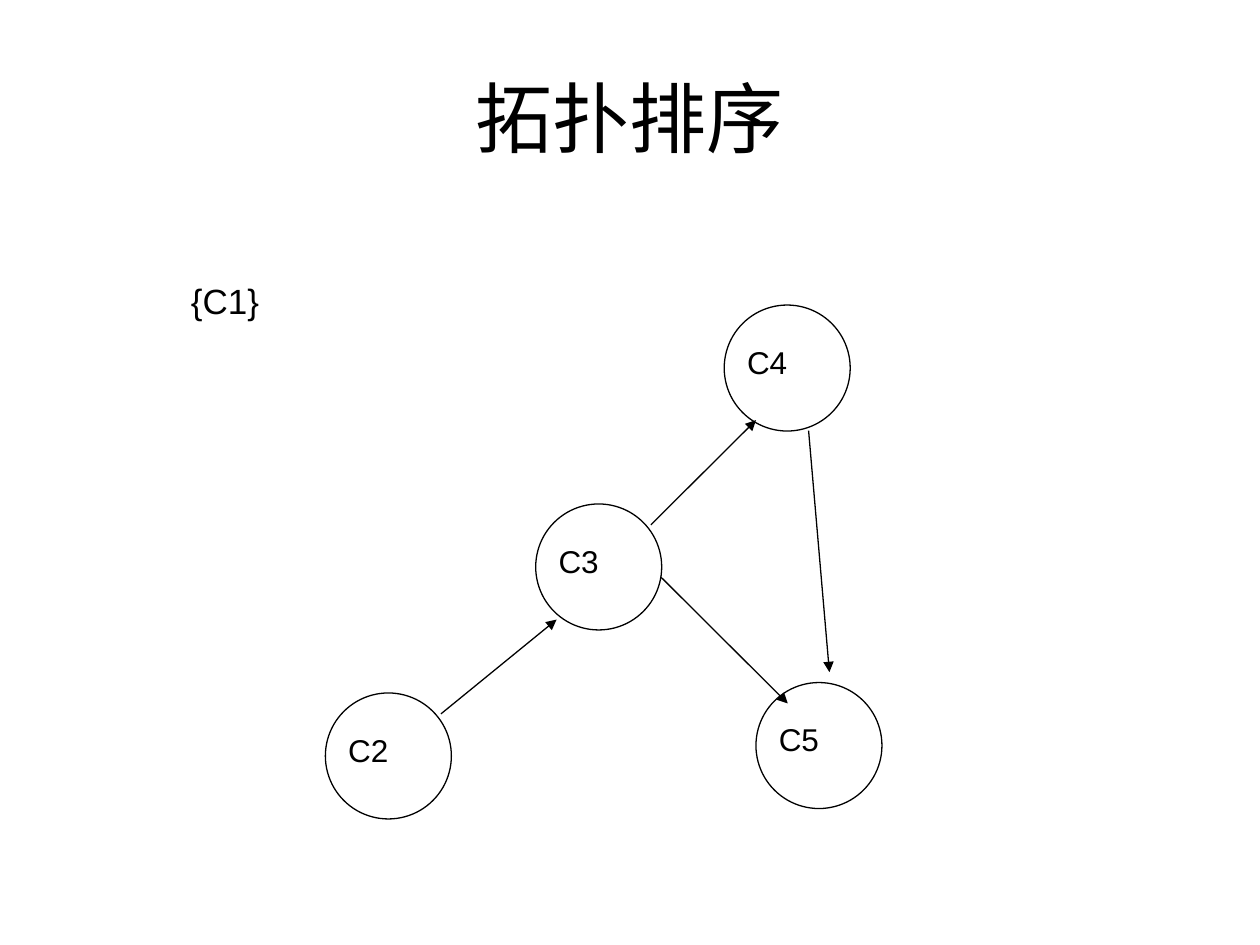
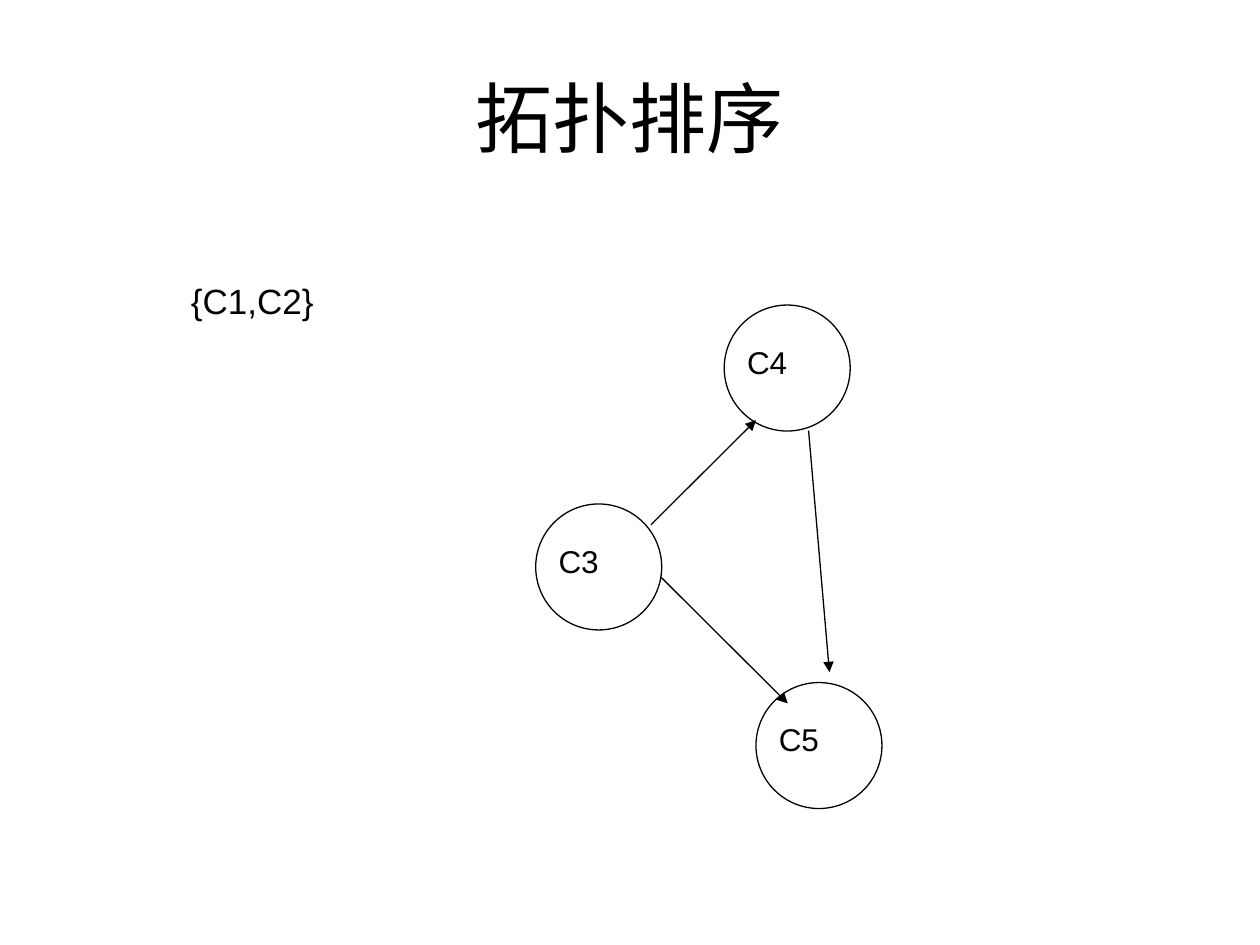
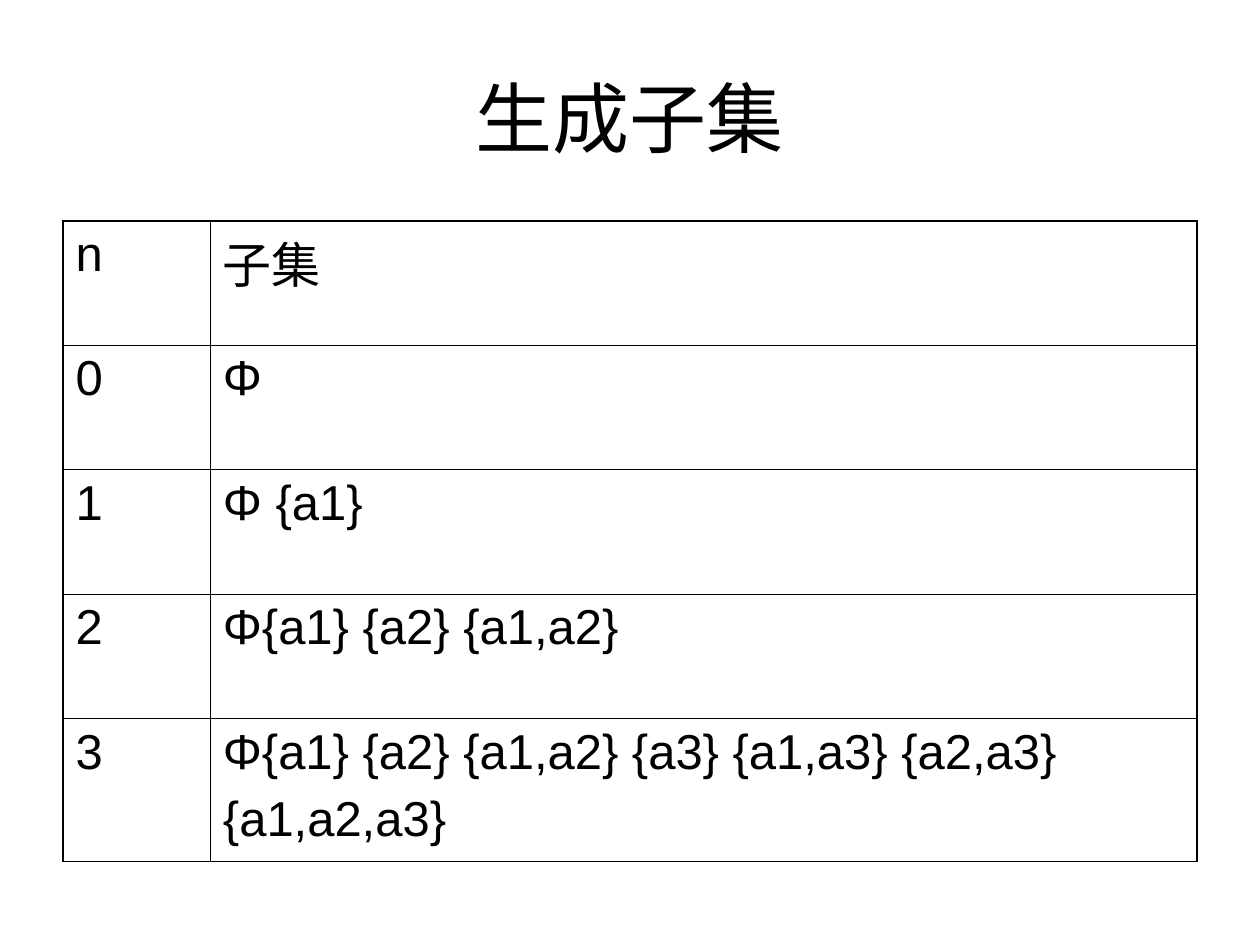
from dataclasses import dataclass

from lxml import etree
from pptx import Presentation
from pptx.dml.color import RGBColor
from pptx.enum.shapes import MSO_CONNECTOR, MSO_SHAPE
from pptx.enum.text import MSO_ANCHOR, MSO_AUTO_SIZE, PP_ALIGN
from pptx.oxml.ns import qn
from pptx.util import Cm, Pt

CENTER, LEFT = PP_ALIGN.CENTER, PP_ALIGN.LEFT
MIDDLE, TOP = MSO_ANCHOR.MIDDLE, MSO_ANCHOR.TOP
STRAIGHT, OVAL = MSO_CONNECTOR.STRAIGHT, MSO_SHAPE.OVAL
FIT_SHAPE = MSO_AUTO_SIZE.SHAPE_TO_FIT_TEXT
BLANK_LAYOUT = 6


@dataclass(frozen=True)
class Theme:
    font: str = "Arial"
    ink: str = "000000"
    title_size: float = 44
    node_size: float = 18
    sequence_size: float = 20
    table_size: float = 28
    line_width: float = 0.75
    inner_border: float = 0.45
    outer_border: float = 1.08
    paragraph_gap: float = 7

    @property
    def ink_rgb(self):
        return RGBColor.from_string(self.ink)


THEME = Theme()

NODE_DIAMETER = 2.54
NODES = {
    "C4": (14.6, 6.15),
    "C2": (6.56, 13.97),
    "C5": (15.24, 13.76),
    "C3": (10.8, 10.16),
}
EDGES = {
    ("C2", "C3"): (8.89, 14.39, 11.22, 12.49),
    ("C3", "C5"): (13.33, 11.64, 15.88, 14.18),
    ("C3", "C4"): (13.12, 10.58, 15.24, 8.47),
    ("C4", "C5"): (16.3, 8.68, 16.72, 13.55),
}
SUBSETS = [
    ("n", "子集"),
    ("0", "Φ"),
    ("1", "Φ {a1}"),
    ("2", "Φ{a1} {a2} {a1,a2}"),
    ("3", "Φ{a1} {a2} {a1,a2} {a3} {a1,a3} {a2,a3}\n{a1,a2,a3}"),
]
COLUMN_WIDTHS = (2.97, 19.89)
ROW_HEIGHTS = (2.51, 2.51, 2.51, 2.51, 2.88)


def write(frame, text, size, align=LEFT):
    frame.text = text
    for index, paragraph in enumerate(frame.paragraphs):
        paragraph.alignment = align
        if index:
            paragraph.space_before = Pt(THEME.paragraph_gap)
        for run in paragraph.runs:
            run.font.name = THEME.font
            run.font.size = Pt(size)
            run.font.color.rgb = THEME.ink_rgb


def add_label(shapes, text, left, top, width, height, size):
    """Add a left-aligned text box that grows with its text."""
    frame = shapes.add_textbox(Cm(left), Cm(top), Cm(width), Cm(height)).text_frame
    frame.word_wrap = True
    frame.auto_size = FIT_SHAPE
    frame.vertical_anchor = TOP
    write(frame, text, size)


def add_titled_slide(prs, title):
    slide = prs.slides.add_slide(prs.slide_layouts[BLANK_LAYOUT])
    frame = slide.shapes.add_textbox(Cm(1.27), Cm(0.76), Cm(22.86), Cm(3.18)).text_frame
    frame.word_wrap = True
    frame.vertical_anchor = MIDDLE
    write(frame, title, THEME.title_size, CENTER)
    return slide


def style_line(line):
    line.color.rgb = THEME.ink_rgb
    line.width = Pt(THEME.line_width)


def add_node(slide, name):
    """Group a circle with its label."""
    left, top = NODES[name]
    node = slide.shapes.add_group_shape()
    circle = node.shapes.add_shape(
        OVAL, Cm(left), Cm(top), Cm(NODE_DIAMETER), Cm(NODE_DIAMETER))
    circle.shadow.inherit = False
    circle.fill.background()
    style_line(circle.line)
    add_label(node.shapes, name, left + 0.21, top + 0.64, 1.9, 1.02, THEME.node_size)


def add_arrow(slide, ends):
    arrow = slide.shapes.add_connector(STRAIGHT, *(Cm(value) for value in ends))
    style_line(arrow.line)
    etree.SubElement(arrow.line._get_or_add_ln(), qn("a:tailEnd"), type="triangle")
    etree.SubElement(arrow._element.spPr, qn("a:effectLst"))


def add_sort_step(prs, sorted_nodes):
    """Show the sorted nodes beside the graph that remains without them."""
    slide = add_titled_slide(prs, "拓扑排序")
    for name in NODES:
        if name not in sorted_nodes:
            add_node(slide, name)
    for (source, _), ends in EDGES.items():
        if source not in sorted_nodes:
            add_arrow(slide, ends)
    sequence = "{" + ",".join(sorted_nodes) + "}"
    add_label(slide.shapes, sequence, 3.6, 5.5, 5.08, 1.11, THEME.sequence_size)


def set_borders(cell, outer_sides):
    properties = cell._tc.get_or_add_tcPr()
    for side in "LRTB":
        width = THEME.outer_border if side in outer_sides else THEME.inner_border
        border = etree.SubElement(properties, qn(f"a:ln{side}"), w=str(Pt(width)))
        fill = etree.SubElement(border, qn("a:solidFill"))
        etree.SubElement(fill, qn("a:srgbClr"), val=THEME.ink)


def add_subset_table(slide):
    table = slide.shapes.add_table(
        len(SUBSETS), len(COLUMN_WIDTHS), Cm(1.27), Cm(4.45),
        Cm(sum(COLUMN_WIDTHS)), Cm(sum(ROW_HEIGHTS))).table
    table.first_row = table.horz_banding = False
    for column, width in zip(table.columns, COLUMN_WIDTHS):
        column.width = Cm(width)
    for row, height in zip(table.rows, ROW_HEIGHTS):
        row.height = Cm(height)
    row_edges = {0: "T", len(SUBSETS) - 1: "B"}
    for row_index, texts in enumerate(SUBSETS):
        for column_index, text in enumerate(texts):
            cell = table.cell(row_index, column_index)
            set_borders(cell, row_edges.get(row_index, "") + "LR"[column_index])
            cell.fill.background()
            write(cell.text_frame, text, THEME.table_size)


def main():
    prs = Presentation()
    prs.slide_width, prs.slide_height = Cm(25.4), Cm(19.05)
    add_sort_step(prs, ["C1"])
    add_sort_step(prs, ["C1", "C2"])
    add_subset_table(add_titled_slide(prs, "生成子集"))
    prs.save("out.pptx")


if __name__ == "__main__":
    main()
